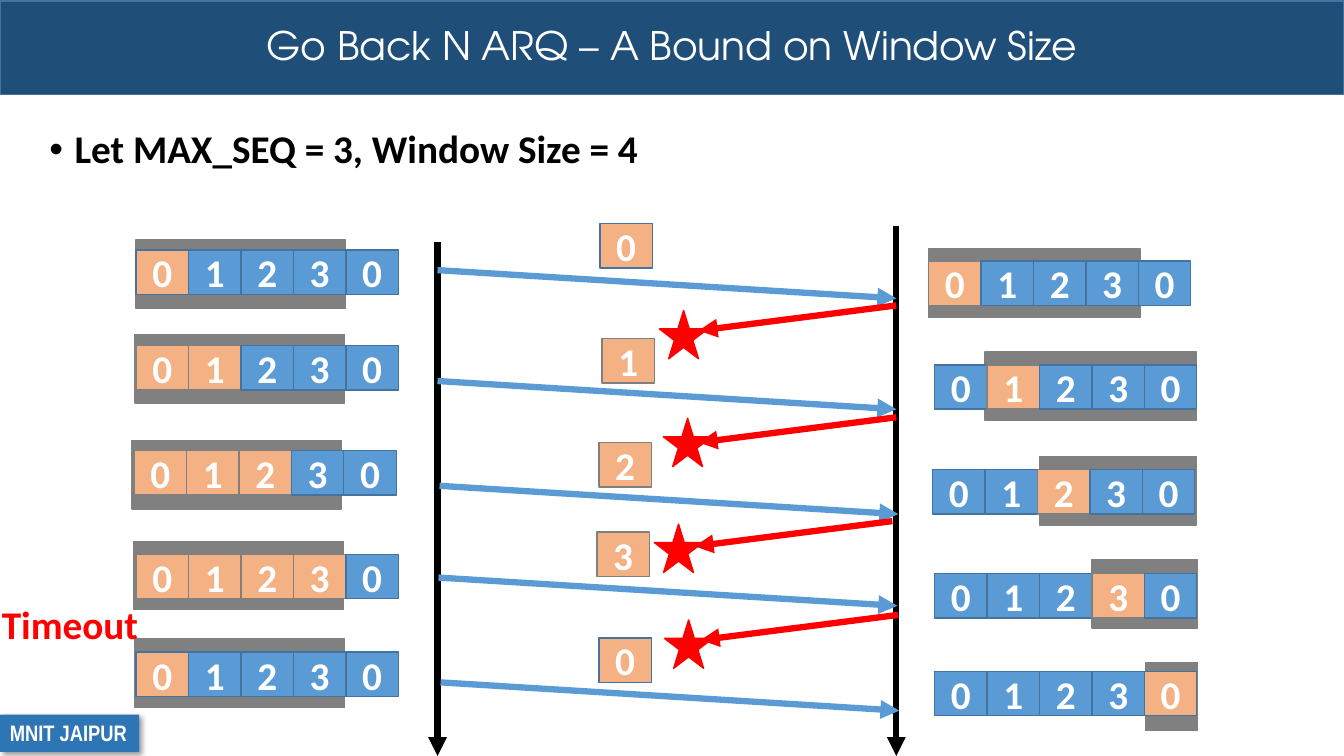
from lxml import etree
from pptx import Presentation
from pptx.dml.color import RGBColor
from pptx.enum.shapes import MSO_CONNECTOR, MSO_SHAPE
from pptx.enum.text import MSO_ANCHOR, MSO_AUTO_SIZE, PP_ALIGN
from pptx.oxml.ns import qn
from pptx.util import Inches, Pt

RECT, STAR = MSO_SHAPE.RECTANGLE, MSO_SHAPE.STAR_5_POINT
STRAIGHT = MSO_CONNECTOR.STRAIGHT
LEFT, CENTER = PP_ALIGN.LEFT, PP_ALIGN.CENTER
TOP, MIDDLE = MSO_ANCHOR.TOP, MSO_ANCHOR.MIDDLE
NO_FIT = MSO_AUTO_SIZE.NONE

NAVY, BADGE, BLUE, EDGE = "1F4E79", "2E75B6", "5B9BD5", "43739E"
PEACH, GRAY, RED, WHITE, BLACK = "F4B183", "808080", "FF0000", "FFFFFF", "000000"
CELL_W, CELL_H = 0.52, 0.44
FRAMES = "01230"

# Cell row left, top, peach cells, peach edge; window left, top, width
ROWS = [
    (1.35, 2.48, [0], EDGE, 1.35, 2.38, 2.08),
    (1.35, 3.43, [0, 1], GRAY, 1.34, 3.32, 2.08),
    (1.33, 4.47, [0, 1, 2], GRAY, 1.31, 4.37, 2.08),
    (1.35, 5.5, [0, 1, 2, 3], GRAY, 1.33, 5.37, 2.08),
    (1.35, 6.47, [0], EDGE, 1.34, 6.34, 2.08),
    (9.21, 2.59, [0], GRAY, 9.21, 2.47, 2.1),
    (9.27, 3.62, [1], GRAY, 9.77, 3.49, 2.1),
    (9.25, 4.66, [2], GRAY, 10.31, 4.53, 1.56),
    (9.27, 5.69, [3], GRAY, 10.83, 5.55, 1.05),
    (9.27, 6.66, [4], EDGE, 11.36, 6.57, 0.52),
]
# Start of each data arrow, then left and top of its packet
SENDS = [
    (4.34, 2.68, 5.95, 2.22),
    (4.34, 3.78, 5.97, 3.36),
    (4.36, 4.82, 5.94, 4.39),
    (4.35, 5.73, 5.92, 5.28),
    (4.37, 6.77, 5.94, 6.33),
]
# Start of each lost reply, then left and top of its star
LOSSES = [
    (8.89, 3.03, 6.54, 3.08),
    (8.89, 4.14, 6.58, 4.15),
    (8.85, 5.17, 6.49, 5.2),
    (8.91, 6.1, 6.59, 6.15),
]


def tint(code):
    return RGBColor.from_string(code)


def write(shape, text, size=28, face="Calibri", color=WHITE, bold=True,
          align=CENTER, anchor=MIDDLE, wrap=True, space=1.0, bullet=None):
    frame = shape.text_frame
    frame.auto_size = NO_FIT
    frame.word_wrap = wrap
    frame.vertical_anchor = anchor
    para = frame.paragraphs[0]
    para.alignment = align
    para.line_spacing = space
    para.space_before = Pt(0)
    if bullet:
        props = para._p.get_or_add_pPr()
        props.set("marL", str(Inches(0.25)))
        props.set("indent", str(-Inches(0.25)))
        etree.SubElement(props, qn("a:buFont")).set("typeface", "Arial")
        etree.SubElement(props, qn("a:buChar")).set("char", bullet)
    run = para.add_run()
    run.text = text
    font = run.font
    font.name, font.size, font.bold = face, Pt(size), bold
    font.color.rgb = tint(color)


class Board:
    def __init__(self, slide):
        self.slide = slide
        self.shapes = slide.shapes

    def holder(self, item, x, y, w, h, text, **style):
        item.left, item.top = Inches(x), Inches(y)
        item.width, item.height = Inches(w), Inches(h)
        write(item, text, **style)

    def block(self, x, y, w, h, fill, edge=None, kind=RECT):
        shape = self.shapes.add_shape(
            kind, Inches(x), Inches(y), Inches(w), Inches(h))
        shape.shadow.inherit = False
        shape.fill.solid()
        shape.fill.fore_color.rgb = tint(fill)
        if edge:
            shape.line.color.rgb = tint(edge)
            shape.line.width = Pt(1)
        else:
            shape.line.fill.background()
        return shape

    def cell(self, x, y, text, fill, edge):
        write(self.block(x, y, CELL_W, CELL_H, fill, edge), text)

    def label(self, x, y, w, h, text, **style):
        box = self.shapes.add_textbox(Inches(x), Inches(y), Inches(w), Inches(h))
        write(box, text, **style)

    def arrow(self, x, y, to_x, to_y, color):
        wire = self.shapes.add_connector(
            STRAIGHT, Inches(x), Inches(y), Inches(to_x), Inches(to_y))
        wire.line.color.rgb = tint(color)
        wire.line.width = Pt(4.5)
        props = wire._element.spPr
        etree.SubElement(props.find(qn("a:ln")), qn("a:tailEnd")).set("type", "triangle")
        etree.SubElement(props, qn("a:effectLst"))

    def shade(self, shape):
        effects = shape._element.spPr.find(qn("a:effectLst"))
        outer = etree.SubElement(
            effects, qn("a:outerShdw"), blurRad=str(Pt(4)), dist=str(Pt(3)),
            dir="2700000", algn="tl", rotWithShape="0")
        color = etree.SubElement(outer, qn("a:srgbClr"), val=BLACK)
        etree.SubElement(color, qn("a:alpha"), val="40000")


def main():
    deck = Presentation()
    deck.slide_width, deck.slide_height = Inches(13.33), Inches(7.5)
    slide = deck.slides.add_slide(deck.slide_layouts[1])
    board = Board(slide)

    # Title on its bar, and the list
    title, body = slide.shapes.title, slide.placeholders[1]
    bar = board.block(0, 0.01, 13.33, 0.93, NAVY, EDGE)
    title.element.addprevious(bar.element)
    board.holder(title, 0, 0.01, 13.33, 0.93,
                 "Go Back N ARQ – A Bound on Window Size",
                 face="TeX Gyre Adventor", bold=False, space=0.9)
    board.holder(body, 0.39, 1.24, 12.63, 0.69,
                 "Let MAX_SEQ = 3, Window Size = 4", color=BLACK,
                 align=LEFT, anchor=TOP, space=0.9, bullet="•")

    # Badge
    badge = board.block(0, 7.09, 1.38, 0.37, BADGE)
    board.shade(badge)
    write(badge, "MNIT JAIPUR", size=16, face="Arial Narrow", align=LEFT,
          anchor=TOP, wrap=False)

    # Time lines
    for x, y in [(4.34, 2.4), (8.89, 2.24)]:
        board.arrow(x, y, x, 7.5, BLACK)

    # Windows and their rows of frames
    for x, y, hot, edge, win_x, win_y, win_w in ROWS:
        board.block(win_x, win_y, win_w, 0.68, GRAY, GRAY)
        for i, frame in enumerate(FRAMES):
            fill, rim = (PEACH, edge) if i in hot else (BLUE, EDGE)
            board.cell(x + i * CELL_W, y, frame, fill, rim)

    # Data arrows and lost replies
    for x, y, _, _ in SENDS:
        board.arrow(x, y, x + 4.55, y + 0.28, BLUE)
    for x, y, star_x, star_y in LOSSES:
        board.arrow(x, y, x - 1.96, y + 0.25, RED)
        board.block(star_x, star_y, 0.48, 0.48, RED, RED, STAR)

    # Packets
    for frame, (_, _, x, y) in zip(FRAMES, SENDS):
        board.cell(x, y, frame, PEACH, EDGE if frame == "0" else GRAY)

    board.label(-0.08, 5.91, 1.57, 0.57, "Timeout", color=RED, align=LEFT,
                anchor=TOP, wrap=False)
    deck.save("out.pptx")


if __name__ == "__main__":
    main()
